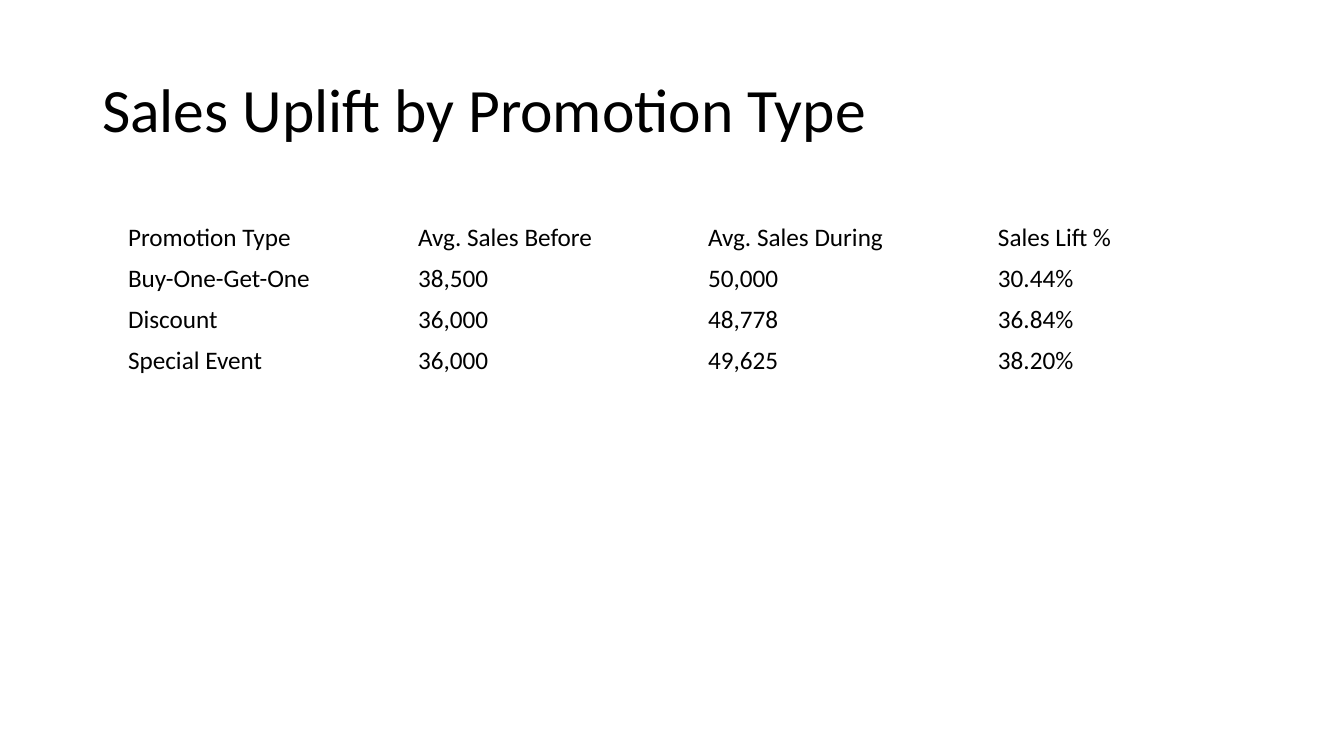
from pptx import Presentation
from pptx.dml.color import RGBColor
from pptx.enum.text import MSO_ANCHOR, PP_ALIGN
from pptx.util import Pt

MIDDLE = MSO_ANCHOR.MIDDLE
LEFT = PP_ALIGN.LEFT
EMU_PER_PX = 914400 / 100.8
FONT = "Calibri"
COLORS = {"text": "000000"}
ROWS = [
    ("Promotion Type", "Avg. Sales Before", "Avg. Sales During", "Sales Lift %"),
    ("Buy-One-Get-One", "38,500", "50,000", "30.44%"),
    ("Discount", "36,000", "48,778", "36.84%"),
    ("Special Event", "36,000", "49,625", "38.20%"),
]
COLUMN_WIDTH = 290
ROW_HEIGHT = 41


def px(length):
    return round(length * EMU_PER_PX)


def write(frame, text, size):
    frame.text = text
    para = frame.paragraphs[0]
    para.alignment = LEFT
    para.font.name = FONT
    para.font.size = Pt(size)
    para.font.bold = False
    para.font.color.rgb = RGBColor.from_string(COLORS["text"])
    return para


deck = Presentation()
deck.slide_width = px(1344)
deck.slide_height = px(756)
slide = deck.slides.add_slide(deck.slide_layouts[5])

title = slide.shapes.title
title.left, title.top, title.width, title.height = px(92), px(40), px(1159), px(146)
title.text_frame.vertical_anchor = MIDDLE
write(title.text_frame, "Sales Uplift by Promotion Type", 44).line_spacing = 0.9

table = slide.shapes.add_table(
    len(ROWS), len(ROWS[0]), px(118), px(217),
    px(COLUMN_WIDTH * len(ROWS[0])), px(ROW_HEIGHT * len(ROWS)),
).table
table.first_row = False
table.horz_banding = False
for column in table.columns:
    column.width = px(COLUMN_WIDTH)
for row, texts in zip(table.rows, ROWS):
    row.height = px(ROW_HEIGHT)
    for cell, text in zip(row.cells, texts):
        cell.fill.background()
        cell.vertical_anchor = MIDDLE
        write(cell.text_frame, text, 18)

deck.save("out.pptx")
